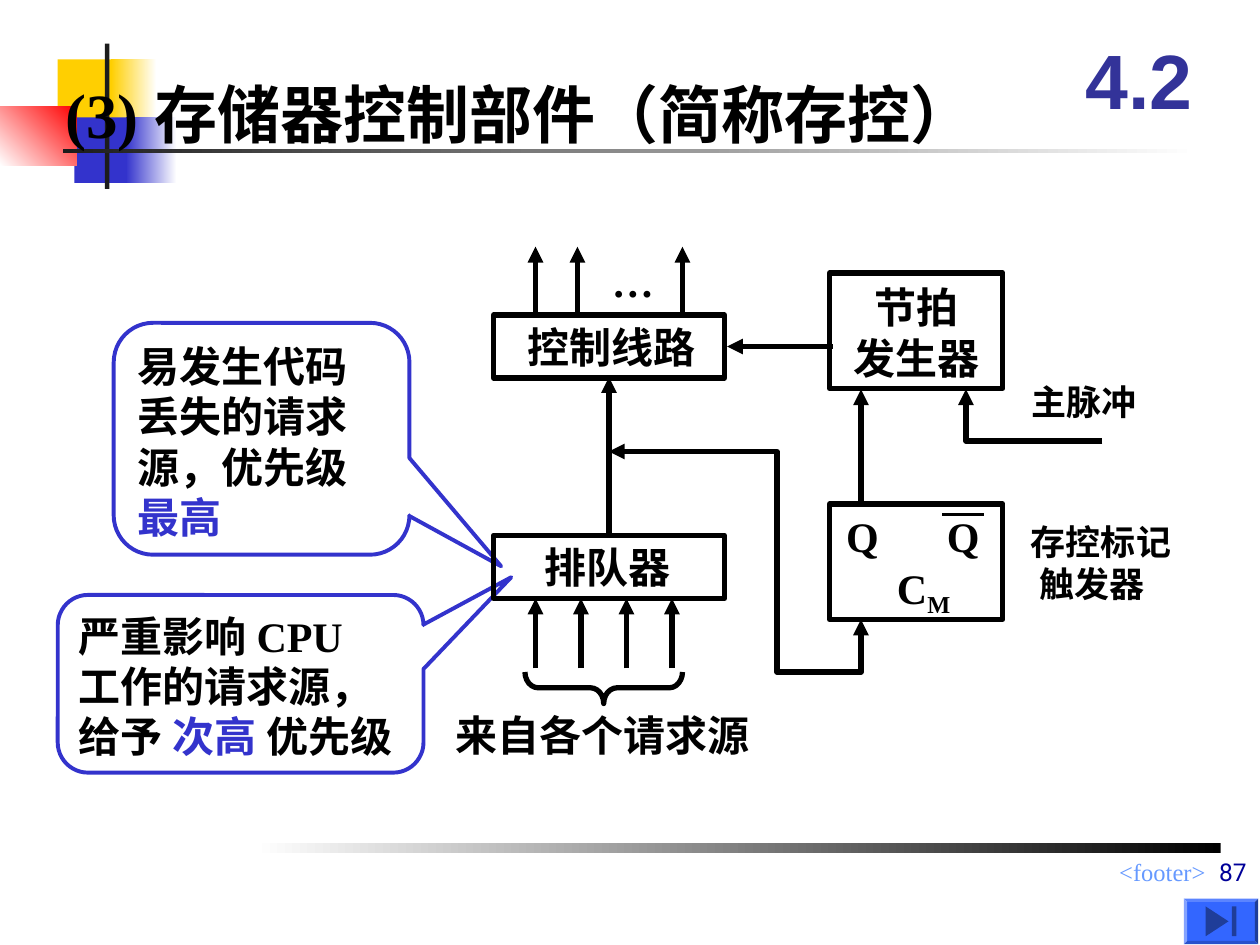
from lxml import etree
from pptx import Presentation
from pptx.dml.color import RGBColor
from pptx.enum.shapes import MSO_CONNECTOR, MSO_SHAPE
from pptx.enum.text import MSO_ANCHOR, MSO_AUTO_SIZE, PP_ALIGN
from pptx.oxml.ns import qn
from pptx.util import Pt

RECT = MSO_SHAPE.RECTANGLE
CALL = MSO_SHAPE.ROUNDED_RECTANGULAR_CALLOUT
BRACE = MSO_SHAPE.LEFT_BRACE
BEVEL = MSO_SHAPE.BEVEL
WEDGE = MSO_SHAPE.ISOSCELES_TRIANGLE
LINE = MSO_CONNECTOR.STRAIGHT
LEFT, MID, RIGHT = PP_ALIGN.LEFT, PP_ALIGN.CENTER, PP_ALIGN.RIGHT
TOP, CORE, BASE = MSO_ANCHOR.TOP, MSO_ANCHOR.MIDDLE, MSO_ANCHOR.BOTTOM
FIXED = MSO_AUTO_SIZE.NONE
hue = RGBColor.from_string


def draw(shape, color=None, width=3, fill=None, ends=()):
    """Set line, fill and arrowheads, and drop the shadow."""
    if hasattr(shape, "fill"):
        shape.shadow.inherit = False
        if fill:
            shape.fill.solid()
            shape.fill.fore_color.rgb = hue(fill)
        else:
            shape.fill.background()
    else:
        etree.SubElement(shape._element.spPr, qn("a:effectLst"))
    if not color:
        shape.line.fill.background()
        return
    shape.line.color.rgb = hue(color)
    shape.line.width = Pt(width)
    edge = shape._element.spPr.find(qn("a:ln"))
    for end in ends:
        etree.SubElement(edge, qn("a:" + end), type="triangle")


def write(shape, paras, size=24, color="000000", bold=True, font="Times New Roman",
          align=LEFT, anchor=TOP, wrap=True):
    """Fill a shape with paragraphs, each a list of (text, colour) runs."""
    frame = shape.text_frame
    form = {"word_wrap": wrap, "auto_size": FIXED, "vertical_anchor": anchor,
            "margin_left": Pt(7.2), "margin_right": Pt(7.2),
            "margin_top": Pt(3.6), "margin_bottom": Pt(3.6)}
    for key, val in form.items():
        setattr(frame, key, val)
    for num, runs in enumerate(paras):
        para = frame.add_paragraph() if num else frame.paragraphs[0]
        para.alignment = align
        for text, tint in runs:
            run = para.add_run()
            run.text = text
            for key, val in {"size": Pt(size), "bold": bold, "name": font}.items():
                setattr(run.font, key, val)
            run.font.color.rgb = hue(tint or color)


deck = Presentation()
deck.slide_width, deck.slide_height = Pt(720), Pt(540)
slide = deck.slides.add_slide(deck.slide_layouts[5])
shapes = slide.shapes

# Template blocks and rules: place, fill or gradient (start, end, angle)
for place, fill in [
    ((33, 34, 35, 37.5), "FFCF01"),
    ((63.5, 34, 26, 37.5), ("FFFFFF", "FFCF01", 180)),
    ((42.5, 67, 33, 37.5), "3333CC"),
    ((72, 67, 29, 37.5), ("FFFFFF", "3333CC", 180)),
    ((0, 61, 44, 33.5), ("FF0000", "FFFFFF", 225)),
    ((60, 25, 2.5, 83), "1C1C1C"),
    ((36, 85, 648, 2.5), ("FFFFFF", "1C1C1C", 180)),
    ((145.5, 482, 552, 5.5), ("000000", "FFFFFF", 180)),
]:
    block = shapes.add_shape(RECT, *map(Pt, place))
    if isinstance(fill, str):
        draw(block, fill=fill)
        continue
    draw(block)
    block.fill.gradient()
    block.fill.gradient_angle = fill[2]
    for stop, tint in zip(block.fill.gradient_stops, fill):
        stop.color.rgb = hue(tint)

# Title, above the template blocks
title = shapes.title
place = {"left": 30, "top": 39.5, "width": 594, "height": 50.5}
for key, val in place.items():
    setattr(title, key, Pt(val))
write(title, [[("(3) 存储器控制部件（简称存控）", None)]], size=36)
shapes._spTree.append(title._element)

# Callouts
for place, adjs, paras, wrap in [
    ((65, 184.5, 169, 132.5), (0.81, 0.55, 0.17),
     [[("易发生代码", None)], [("丢失的请求源，优先级", None)],
      [("最高", "3333CC")]], True),
    ((33, 340, 209, 101.5), (0.74, -0.6, 0.17),
     [[("严重影响 CPU", None)], [("工作的请求源，", None)],
      [("给予 ", None), ("次高 ", "3333CC"), ("优先级", None)]], False),
]:
    call = shapes.add_shape(CALL, *map(Pt, place))
    for num, adj in enumerate(adjs):
        call.adjustments[num] = adj
    draw(call, "3333CC", 2.25)
    write(call, paras, wrap=wrap)

# Unit boxes
for place in [(282, 180, 132, 36), (282, 306, 132, 36),
              (474, 156, 99, 66), (474, 288, 99, 66)]:
    draw(shapes.add_shape(RECT, *map(Pt, place)), "000000")

# Labels: place, lines, format
small = {"size": 20}
for place, lines, form in [
    ((294.5, 180, 110, 36), ["控制线路"], {}),
    ((304, 306, 86, 36), ["排队器"], {}),
    ((474, 157.5, 99, 65), ["节拍", "发生器"], {"align": MID}),
    ((476.5, 288, 33, 36), ["Q"], {}),
    ((534, 288, 33, 36), ["Q"], {}),
    ((253, 402, 182, 36), ["来自各个请求源"], {}),
    ((342.5, 142.5, 38, 36), ["…"], {}),
    ((582.5, 214, 74, 32), ["主脉冲"], small),
    ((582, 294, 100, 32), ["存控标记"], small),
    ((587, 318, 90, 32), ["触发器"], small),
    ((606, 12, 90, 66), ["4.2"],
     {"size": 44, "color": "333399", "font": "Arial", "align": MID, "anchor": CORE}),
    ((282, 486, 414, 19), ["<footer>"],
     {"size": 14, "color": "6699FF", "bold": False, "align": RIGHT}),
    ((375, 474, 344.5, 36), ["87"],
     {"size": 14, "color": "000099", "bold": False, "font": "Roboto",
      "align": RIGHT, "anchor": BASE}),
]:
    box = shapes.add_textbox(*map(Pt, place))
    wide = form.get("align", LEFT) != LEFT
    write(box, [[(text, None)] for text in lines], wrap=wide, **form)

# Flip-flop name with its subscript
box = shapes.add_textbox(Pt(505.5), Pt(318), Pt(44.5), Pt(39))
write(box, [[("C", None), ("M", None)]], wrap=False)
box.text_frame.paragraphs[0].runs[1].font._element.set("baseline", "-20000")

# Straight arrows: control outputs, request inputs, links between units
arrows = [(x, 181.5, x, 141) for x in (306, 330, 390)]
arrows += [(306 + 26 * n, 382, 306 + 26 * n, 342) for n in range(4)]
arrows += [(492, 288, 492, 222.5), (348, 306, 348, 215.5), (476, 198, 415.5, 198)]
for ends in arrows:
    draw(shapes.add_connector(LINE, *map(Pt, ends)), "000000", ends=["tailEnd"])
bar = shapes.add_connector(LINE, Pt(538.5), Pt(294), Pt(562.5), Pt(294))
draw(bar, "000000", 2.25)

# Bent arrows
for dots, ends in [
    ([(630, 252), (552, 252), (552, 222.5)], ["tailEnd"]),
    ([(492, 354), (492, 384), (444, 384), (444, 258), (348, 258)],
     ["headEnd", "tailEnd"]),
]:
    dots = [(Pt(x), Pt(y)) for x, y in dots]
    pen = shapes.build_freeform(*dots[0])
    pen.add_line_segments(dots[1:], close=False)
    draw(pen.convert_to_shape(), "000000", ends=ends)

# Brace under the request inputs
brace = shapes.add_shape(BRACE, Pt(336), Pt(348), Pt(18), Pt(90))
brace.rotation = 270
brace.adjustments[0] = 0.42
draw(brace, "000000")

# Button with end mark
key = shapes.add_shape(BEVEL, Pt(676.5), Pt(513.5), Pt(42.5), Pt(26))
key.adjustments[0] = 0.07
draw(key, fill="3366FF")
wedge = shapes.add_shape(WEDGE, Pt(687), Pt(520), Pt(17), Pt(13))
wedge.rotation = 90
draw(wedge, fill="1F3D99")
draw(shapes.add_shape(RECT, Pt(704), Pt(518), Pt(2.5), Pt(17)), fill="1F3D99")

deck.save("out.pptx")
